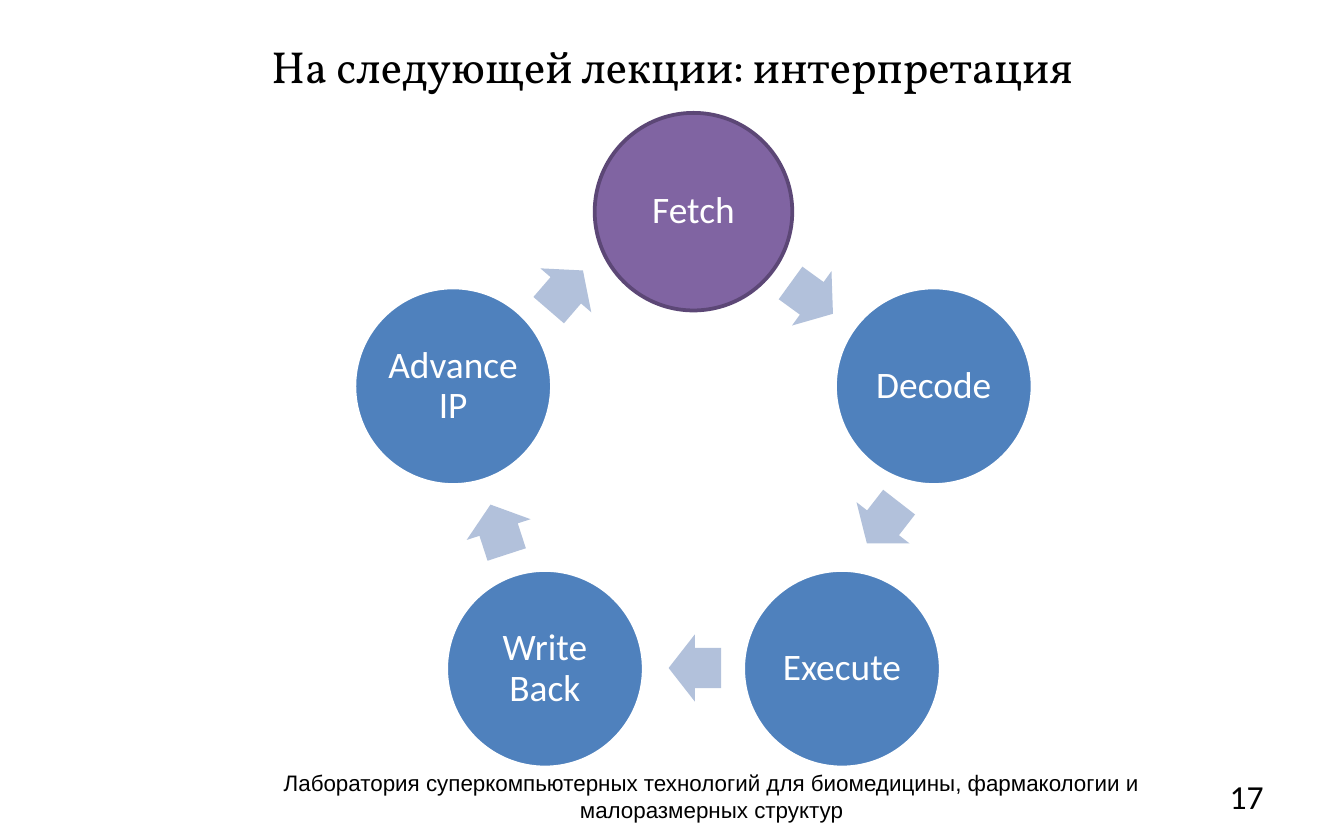
from math import cos, pi, sin

from pptx import Presentation
from pptx.dml.color import RGBColor
from pptx.enum.shapes import MSO_SHAPE
from pptx.enum.text import MSO_ANCHOR, PP_ALIGN
from pptx.util import Inches, Pt

CIRCLE, ARROW = MSO_SHAPE.OVAL, MSO_SHAPE.RIGHT_ARROW
MIDDLE = MSO_ANCHOR.MIDDLE
CENTER, RIGHT = PP_ALIGN.CENTER, PP_ALIGN.RIGHT

WIDTH, HEIGHT = 10, 6.22
RING_X, RING_Y, RING_RADIUS = 5.16, 3.455, 1.88
STAGE_SIZE = 1.47
ARROW_WIDTH, ARROW_HEIGHT = 0.39, 0.5
STAGES = [
    ("Fetch", "8064A2", "5C4776"),
    ("Decode", "4F81BD", "FFFFFF"),
    ("Execute", "4F81BD", "FFFFFF"),
    ("Write Back", "4F81BD", "FFFFFF"),
    ("Advance IP", "4F81BD", "FFFFFF"),
]
ARROWS = [
    (6.04, 2.22, 36),
    (6.57, 3.89, 127.9),
    (5.17, 4.97, 180),
    (3.71, 3.94, 252),
    (4.21, 2.16, 310.8),
]


def color(hex_code):
    """Turn a hex string into a colour."""
    return RGBColor.from_string(hex_code)


def style_text(frame, text, size, font_name, hex_code, align=CENTER):
    """Write one vertically centred paragraph into a text frame."""
    frame.word_wrap = True
    frame.vertical_anchor = MIDDLE
    paragraph = frame.paragraphs[0]
    paragraph.text = text
    paragraph.alignment = align
    paragraph.font.size = Pt(size)
    paragraph.font.name = font_name
    paragraph.font.color.rgb = color(hex_code)
    return paragraph


def add_label(slide, box, text, size, font_name, align=CENTER):
    """Add a black text box."""
    label = slide.shapes.add_textbox(*map(Inches, box))
    style_text(label.text_frame, text, size, font_name, "000000", align)


def add_centered(slide, preset, x, y, width, height, fill):
    """Add a filled preset shape around a centre point."""
    box = (x - width / 2, y - height / 2, width, height)
    shape = slide.shapes.add_shape(preset, *map(Inches, box))
    shape.shadow.inherit = False
    shape.fill.solid()
    shape.fill.fore_color.rgb = color(fill)
    return shape


def add_stage(slide, index, name, fill, outline):
    """Add a stage circle at its place on the ring."""
    angle = 2 * pi * index / len(STAGES)
    x = RING_X + RING_RADIUS * sin(angle)
    y = RING_Y - RING_RADIUS * cos(angle)
    stage = add_centered(slide, CIRCLE, x, y, STAGE_SIZE, STAGE_SIZE, fill)
    stage.line.color.rgb = color(outline)
    stage.line.width = Pt(2)
    frame = stage.text_frame
    frame.margin_left = frame.margin_right = Inches(0.02)
    frame.margin_top = frame.margin_bottom = Inches(0.02)
    paragraph = style_text(frame, name, 20, "Calibri", "FFFFFF")
    paragraph.line_spacing = 0.9
    paragraph.space_after = Pt(8)


def add_arrow(slide, x, y, direction):
    """Add a block arrow pointing clockwise round the ring."""
    arrow = add_centered(slide, ARROW, x, y, ARROW_WIDTH, ARROW_HEIGHT, "B2C1DB")
    arrow.line.fill.background()
    arrow.adjustments[0] = 0.6
    arrow.adjustments[1] = 0.5
    arrow.rotation = direction


def main():
    """Build the interpretation cycle slide."""
    deck = Presentation()
    deck.slide_width, deck.slide_height = Inches(WIDTH), Inches(HEIGHT)
    slide = deck.slides.add_slide(deck.slide_layouts[6])
    add_label(slide, (0.5, 0.12, 9, 0.74),
              "На следующей лекции: интерпретация", 24, "Vollkorn")
    add_label(slide, (1.67, 5.76, 7.25, 0.33),
              "Лаборатория суперкомпьютерных технологий для биомедицины, "
              "фармакологии и малоразмерных структур", 12, "Arial")
    add_label(slide, (8.92, 5.76, 0.58, 0.33), "17", 18, "Calibri", RIGHT)
    for index, (stage, arrow) in enumerate(zip(STAGES, ARROWS)):
        add_stage(slide, index, *stage)
        add_arrow(slide, *arrow)
    deck.save("out.pptx")


if __name__ == "__main__":
    main()
